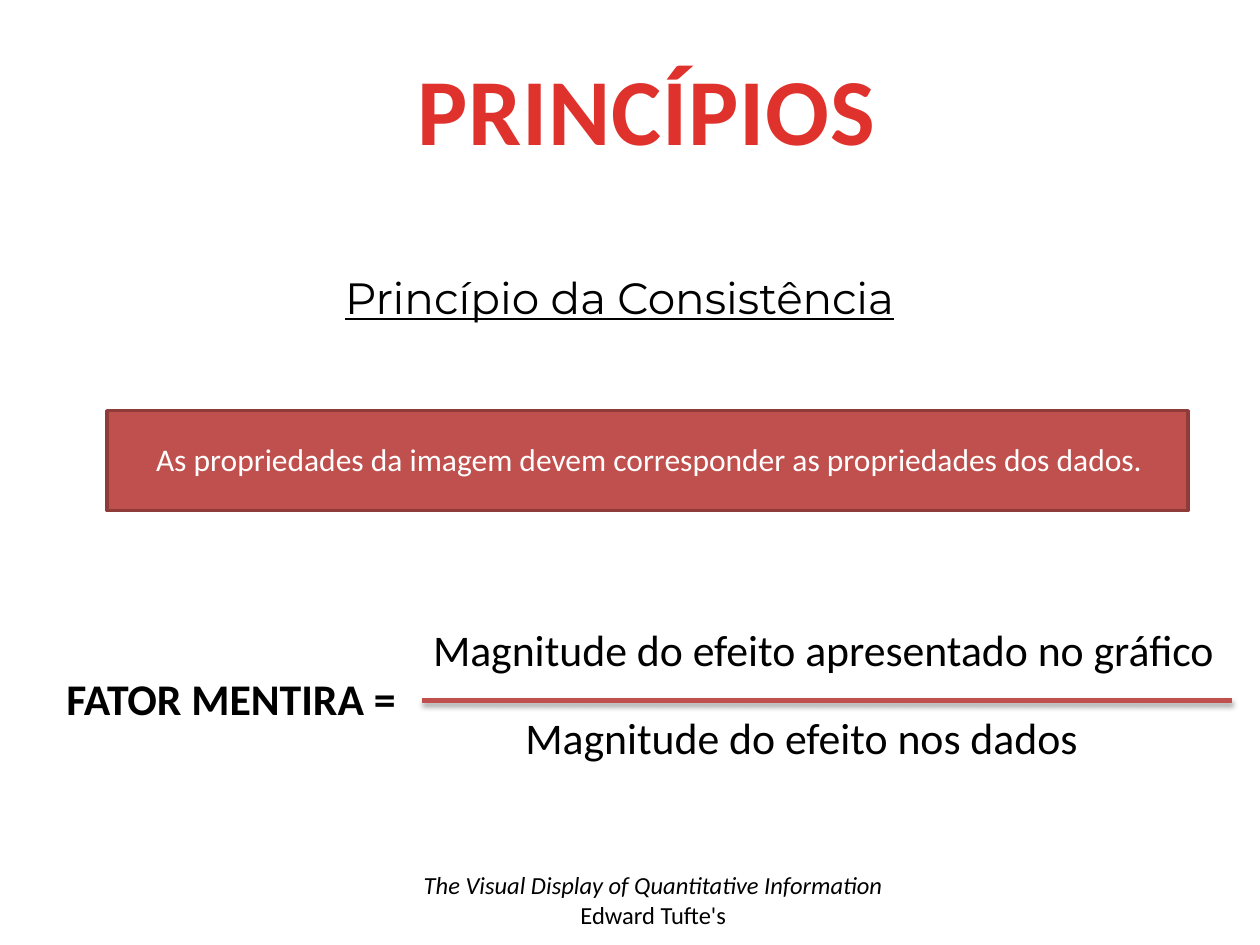
from lxml import etree
from pptx import Presentation, util as u
from pptx.dml.color import RGBColor
from pptx.enum import shapes, text
from pptx.oxml.ns import qn

RED, DARK_RED, TITLE_RED = "C0504D", "8E3B39", "E0322D"
BLACK, WHITE = "000000", "FFFFFF"


def color(hex_code):
    return RGBColor.from_string(hex_code)


def write(para, words, size=25, font="Calibri", fill=BLACK, bold=False,
          italic=False, underline=False, align=text.PP_ALIGN.LEFT):
    para.alignment = align
    span = para.add_run()
    span.text = words
    span.font.size = u.Pt(size)
    span.font.name = font
    span.font.color.rgb = color(fill)
    span.font.bold = bold
    span.font.italic = italic
    span.font.underline = underline
    return span


class SlideBuilder:
    def __init__(self, deck):
        self.page = deck.slides.add_slide(deck.slide_layouts[5])

    def place(self, box, left, top, width, height):
        box.left, box.top = u.Cm(left), u.Cm(top)
        box.width, box.height = u.Cm(width), u.Cm(height)

    def title(self, words, *area):
        box = self.page.shapes.title
        self.place(box, *area)
        frame = box.text_frame
        frame.word_wrap = False
        frame.auto_size = text.MSO_AUTO_SIZE.NONE
        frame.vertical_anchor = text.MSO_ANCHOR.TOP
        span = write(frame.paragraphs[0], words, size=54, fill=TITLE_RED,
                     bold=True, align=text.PP_ALIGN.CENTER)
        span.font._element.set("spc", "50")

    def label(self, lines, *area, wrap=False, **style):
        """Add a text box; each line is a pair of words and its own format."""
        box = self.page.shapes.add_textbox(*map(u.Cm, area))
        frame = box.text_frame
        frame.word_wrap = wrap
        for index, (words, extra) in enumerate(lines):
            para = frame.add_paragraph() if index else frame.paragraphs[0]
            write(para, words, **{**style, **extra})

    def panel(self, *area):
        box = self.page.shapes.add_shape(
            shapes.MSO_SHAPE.FLOWCHART_PROCESS, *map(u.Cm, area))
        box.shadow.inherit = False
        box.fill.solid()
        box.fill.fore_color.rgb = color(RED)
        box.line.color.rgb = color(DARK_RED)
        box.line.width = u.Pt(2)

    def fraction_bar(self, left, right, top):
        bar = self.page.shapes.add_connector(
            shapes.MSO_CONNECTOR.STRAIGHT,
            u.Cm(left), u.Cm(top), u.Cm(right), u.Cm(top))
        bar.line.color.rgb = color(RED)
        bar.line.width = u.Pt(3)
        effects = etree.SubElement(bar._element.spPr, qn("a:effectLst"))
        shadow = etree.SubElement(
            effects, qn("a:outerShdw"), blurRad=str(u.Pt(3.1)),
            dist=str(u.Pt(1.8)), dir="5400000", rotWithShape="0")
        tint = etree.SubElement(shadow, qn("a:srgbClr"), val=BLACK)
        etree.SubElement(tint, qn("a:alpha"), val="35000")


def main():
    deck = Presentation()
    deck.slide_width, deck.slide_height = u.Cm(25.4), u.Cm(19.05)
    slide = SlideBuilder(deck)
    center = text.PP_ALIGN.CENTER

    slide.panel(2.16, 8.28, 21.79, 2.01)
    slide.title("PRINCÍPIOS", 8.1, 0.91, 9.86, 2.57)
    slide.label([("Princípio da Consistência", {})], 6.71, 5.33, 12.93, 2.08,
                font="Montserrat", underline=True)

    slide.label([("FATOR MENTIRA =", {})], 1.09, 13.41, 7.44, 1.32, bold=True)
    slide.label([("Magnitude do efeito apresentado no gráfico", {})],
                8.48, 12.42, 16.43, 1.32)
    slide.fraction_bar(8.51, 24.84, 14.12)
    slide.label([("Magnitude do efeito nos dados", {})],
                10.34, 14.2, 11.76, 1.32)

    slide.label([("The Visual Display of Quantitative Information", {"italic": True}),
                 ("Edward Tufte's", {})],
                8.23, 17.42, 9.88, 1.45, size=14, align=center)
    slide.label([("As propriedades da imagem devem corresponder "
                  "as propriedades dos dados.", {})],
                2.69, 8.74, 20.8, 1.02, wrap=True, size=18, fill=WHITE,
                align=center)
    deck.save("out.pptx")


if __name__ == "__main__":
    main()
